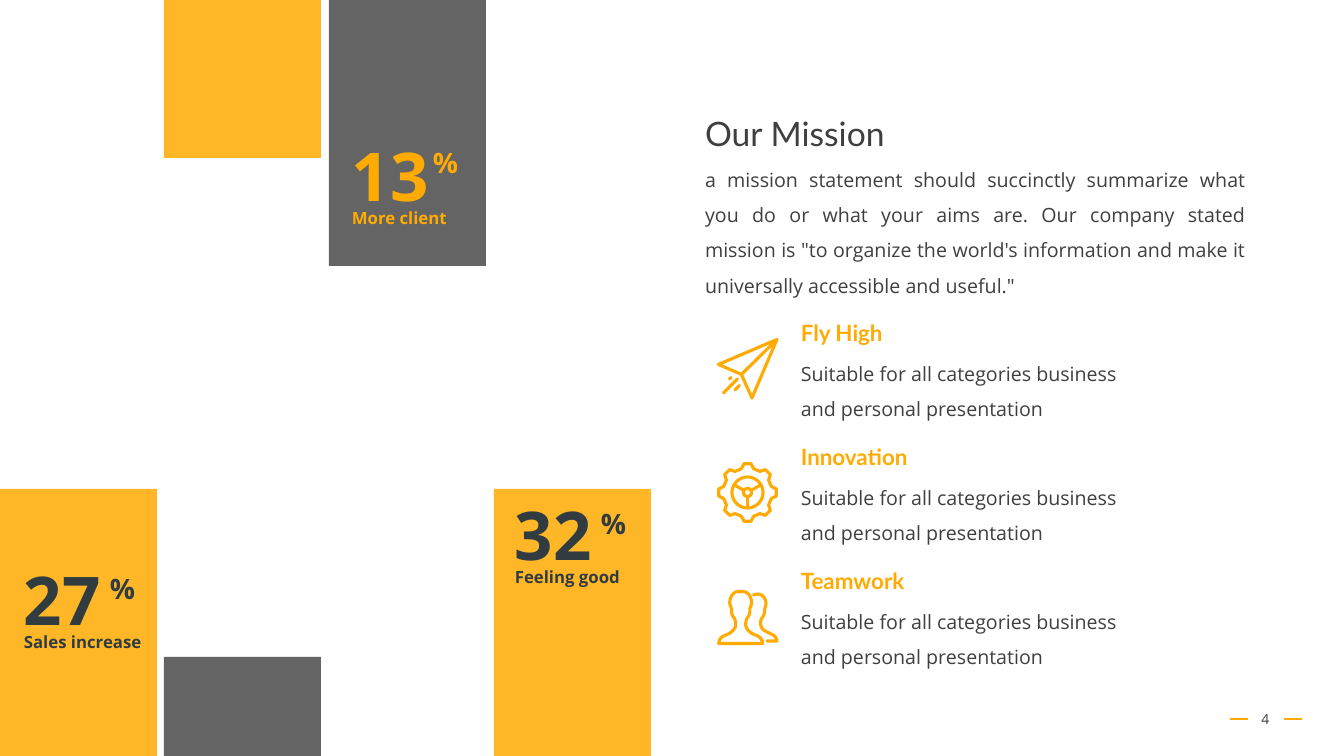
"""Build the Our Mission slide with stat tiles and three values."""
from math import cos, radians, sin

from lxml.etree import SubElement as Sub
from pptx import Presentation
from pptx.dml.color import RGBColor as Rgb
from pptx.enum.shapes import MSO_CONNECTOR as Conn, MSO_SHAPE as Kind
from pptx.enum.text import MSO_ANCHOR as Anchor, MSO_AUTO_SIZE as Auto, PP_ALIGN as Align
from pptx.oxml.ns import qn
from pptx.util import Pt

PX = 914400 / 100.8
HUES = {"gold": "FFAB03", "grey": "494949", "text": "3F3F3F", "ink": "313C41"}

TITLE = "Our Mission"
BODY = ("a mission statement should succinctly summarize what you do or what your aims are. "
        "Our company stated mission is \"to organize the world's information and make it "
        "universally accessible and useful.\"")
NOTE = "Suitable for all categories business and personal presentation"
PAGE = "4"
TILES = [(0, 489, 267, "gold"), (1, 657, 99, "grey"), (1, 0, 158, "gold"),
         (2, 0, 266, "grey"), (3, 489, 267, "gold")]
STATS = [("27", "Sales increase", "ink", 14, 553, 86, 14),
         ("13", "More client", "gold", 342, 129, 81, 12),
         ("32", "Feeling good", "ink", 505, 488, 86, 14)]


def polar(rad, deg):
    return 30.5 + rad * cos(radians(deg)), 30.5 + rad * sin(radians(deg))


def ring(rad):
    return [polar(rad, deg) for deg in range(0, 361, 10)]


def smooth(pts):
    ends = [pts[0]] + pts + [pts[-1]]
    out = [pts[0]]
    for a, b, c, d in zip(ends, ends[1:], ends[2:], ends[3:]):
        for t in (0.25, 0.5, 0.75, 1):
            out.append(tuple(
                q + 0.5 * t * (r - p + t * (2 * p - 5 * q + 4 * r - s + t * (3 * (q - r) + s - p)))
                for p, q, r, s in zip(a, b, c, d)))
    return out


PLANE = [[(60, 1.5), (1.5, 26.5), (24.5, 36.5), (35, 60), (60, 1.5), (24.5, 36.5)],
         [(6.5, 55), (20.5, 41)], [(18, 52), (22.5, 47.5)], [(12.5, 41), (14, 39.5)]]

TEETH = [polar(rad, turn + deg) for turn in range(0, 360, 45)
         for deg, rad in ((-14.5, 24.5), (-7, 29), (7, 29), (14.5, 24.5))]
GEAR = [TEETH + TEETH[:1], ring(15.5), ring(4)]
GEAR += [[polar(4, deg), polar(15.5, deg)] for deg in (90, 210, 330)]

HALF = [(0, 1.5), (5, 2.2), (8.5, 5), (10.5, 9.5), (10.8, 14), (9.3, 18.5), (9.2, 22), (8, 26),
        (6, 29), (5, 34.5), (6.5, 39), (11, 43.3), (17, 46), (20.5, 49), (22, 53.5)]
FRONT = [(23.7 - x, y) for x, y in HALF[:0:-1]] + [(23.7 + x, y) for x, y in HALF]
BACK = [(36.5, 5), (41.5, 4.2), (45, 5.5), (48, 9), (49, 14), (47.8, 19), (47.5, 23), (46, 26.5),
        (44, 30), (43.7, 34.5), (45.5, 39), (50, 42), (56, 45), (59, 48), (60, 51)]
TEAM = [smooth(FRONT) + [FRONT[0]], smooth(BACK) + [(50, 51)]]

ITEMS = [("Fly High", PLANE, 24), ("Innovation", GEAR, 24), ("Teamwork", TEAM, 28)]

deck = Presentation()
deck.slide_width, deck.slide_height = round(1344 * PX), round(756 * PX)
slide = deck.slides.add_slide(deck.slide_layouts[1])
shapes = slide.shapes


def emu(*nums):
    return [round(num * PX) for num in nums]


def color(name):
    return Rgb.from_string(HUES[name])


def style(box, text, size, hue, font="Open Sans", bold=False, align=Align.LEFT,
          space=1, wrap=True, anchor=Anchor.TOP):
    frame = box.text_frame
    frame.text = text
    frame.auto_size, frame.word_wrap, frame.vertical_anchor = Auto.NONE, wrap, anchor
    para = frame.paragraphs[0]
    para.alignment, para.line_spacing, para.space_before = align, space, Pt(0)
    face = para.runs[0].font
    face.name, face.size, face.bold = font, Pt(size), bold
    face.color.rgb = color(hue)
    return para


def label(spot, *args, **opts):
    style(shapes.add_textbox(*emu(*spot)), *args, **opts)


def place(box, spot):
    box.left, box.top, box.width, box.height = emu(*spot)


def tile(col, top, high, hue):
    box = shapes.add_shape(Kind.RECTANGLE, *emu(round(164.5 * col), top, 157, high))
    box.shadow.inherit = False
    box.line.fill.background()
    box.fill.solid()
    box.fill.fore_color.rgb = color(hue)
    tint = box.fill._xPr.find(qn("a:solidFill"))[0]
    Sub(tint, qn("a:alpha"), val="85000")


def icon(strokes, left, top):
    pen = None
    for pts in strokes:
        pts = [tuple(emu(left + x, top + y)) for x, y in pts]
        if pen is None:
            pen = shapes.build_freeform(*pts[0])
        else:
            pen.move_to(*pts[0])
        pen.add_line_segments(pts[1:], close=False)
    art = pen.convert_to_shape()
    art.shadow.inherit = False
    art.fill.background()
    art.line.color.rgb, art.line.width = color("gold"), Pt(2.25)
    edge = art.line._get_or_add_ln()
    edge.set("cap", "rnd")
    Sub(edge, qn("a:round"))


for row in TILES:
    tile(*row)

place(shapes.title, (695, 108, 436, 50))
style(shapes.title, TITLE, 24, "text", font="Lato")
body = slide.placeholders[1]
place(body, (695, 151, 561, 167))
props = style(body, BODY, 14, "text", align=Align.JUSTIFY, space=1.5)._p.get_or_add_pPr()
props.set("marL", "0")
props.set("indent", "0")
Sub(props, qn("a:buNone"))

for num, name, hue, left, top, dx, dy in STATS:
    label((left, top, 98, 92), num, 48, hue, bold=True, wrap=False)
    label((left, top + 74, 145, 30), name, 12, hue, bold=True)
    label((left + dx, top + dy, 45, 44), "%", 20, hue, bold=True, wrap=False)

for step, (name, strokes, drop) in enumerate(ITEMS):
    top = 314 + 124 * step
    label((791, top, 130, 37), name, 16, "gold", font="Lato", bold=True, wrap=False)
    label((791, top + 31, 352, 78), NOTE, 14, "text", space=1.5)
    icon(strokes, 717, top + drop)

for left in (1230, 1284):
    dash = shapes.add_connector(Conn.STRAIGHT, *emu(left, 719, left + 18, 719))
    dash.line.color.rgb, dash.line.width = color("gold"), Pt(1.75)
    Sub(dash._element.spPr, qn("a:effectLst"))
label((1236, 699, 59, 40), PAGE, 10, "text", align=Align.CENTER, anchor=Anchor.MIDDLE)

deck.save("out.pptx")
